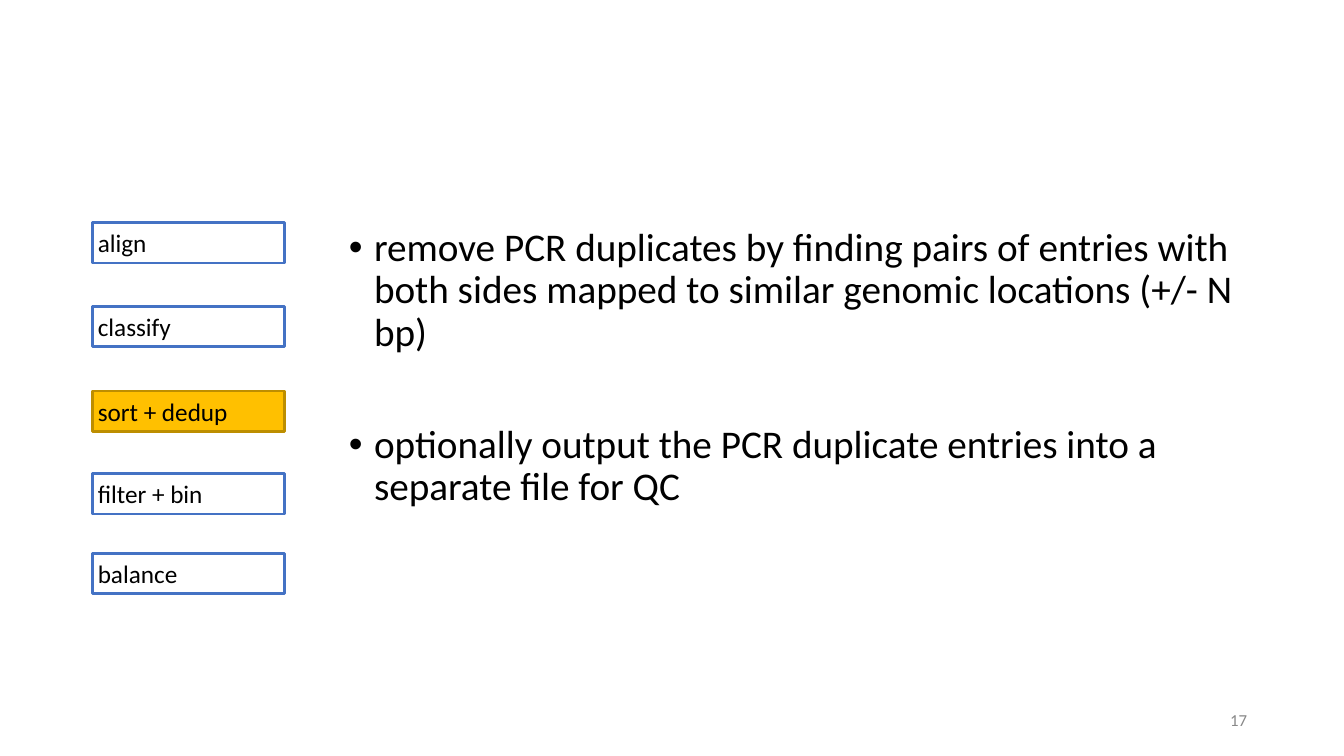
from lxml.etree import SubElement
from pptx import Presentation
from pptx.dml.color import RGBColor
from pptx.enum.shapes import MSO_SHAPE
from pptx.enum.text import MSO_ANCHOR, PP_ALIGN
from pptx.oxml.ns import qn
from pptx.util import Inches, Pt

COLORS = {
    "text": "000000",
    "muted": "888888",
    "step": "FFFFFF",
    "step_line": "4472C4",
    "current": "FFC000",
    "current_line": "BD8E00",
}
STEPS = [
    ("align", 2.21),
    ("classify", 3.04),
    ("sort + dedup", 3.88),
    ("filter + bin", 4.7),
    ("balance", 5.49),
]
CURRENT_STEP = "sort + dedup"
POINTS = [
    "remove PCR duplicates by finding pairs of entries with both sides "
    "mapped to similar genomic locations (+/- N bp)",
    "optionally output the PCR duplicate entries into a separate file for QC",
]


class PipelineSlide:
    font = "Calibri"
    inset = Inches(0.05)

    def __init__(self, prs):
        self.slide = prs.slides.add_slide(prs.slide_layouts[6])

    def color(self, name):
        return RGBColor.from_string(COLORS[name])

    def frame(self, sp, anchor, wrap=True):
        tf = sp.text_frame
        tf.margin_left = tf.margin_right = self.inset
        tf.margin_top = tf.margin_bottom = self.inset
        tf.vertical_anchor = anchor
        tf.word_wrap = wrap
        return tf

    def set_text(self, p, text, size, color="text", align=PP_ALIGN.LEFT):
        p.text = text
        p.alignment = align
        for r in p.runs:
            r.font.name = self.font
            r.font.size = Pt(size)
            r.font.color.rgb = self.color(color)

    def step(self, label, top, style):
        sp = self.slide.shapes.add_shape(
            MSO_SHAPE.RECTANGLE, Inches(0.92), Inches(top), Inches(1.9), Inches(0.4))
        sp.shadow.inherit = False
        sp.fill.solid()
        sp.fill.fore_color.rgb = self.color(style)
        sp.line.color.rgb = self.color(style + "_line")
        sp.line.width = Pt(2)
        tf = self.frame(sp, MSO_ANCHOR.MIDDLE)
        self.set_text(tf.paragraphs[0], label, 18)

    def bullets(self, points, left, top, width, height, gap):
        sp = self.slide.shapes.add_textbox(
            Inches(left), Inches(top), Inches(width), Inches(height))
        tf = self.frame(sp, MSO_ANCHOR.TOP)
        for i, point in enumerate(points):
            p = tf.add_paragraph() if i else tf.paragraphs[0]
            p.line_spacing = 0.9
            p.space_before = Pt(gap if i else 0)
            pPr = p._p.get_or_add_pPr()
            pPr.set("marL", str(Inches(0.25)))
            pPr.set("indent", str(Inches(-0.25)))
            SubElement(pPr, qn("a:buFont"), typeface="Arial")
            SubElement(pPr, qn("a:buChar"), char="•")
            self.set_text(p, point, 28)

    def page_number(self, number):
        sp = self.slide.shapes.add_textbox(
            Inches(12.13), Inches(7), Inches(0.29), Inches(0.29))
        tf = self.frame(sp, MSO_ANCHOR.MIDDLE, wrap=False)
        self.set_text(tf.paragraphs[0], number, 12, "muted", PP_ALIGN.RIGHT)


def main():
    prs = Presentation()
    prs.slide_width = Inches(13.33)
    prs.slide_height = Inches(7.5)
    s = PipelineSlide(prs)
    s.page_number("17")
    for label, top in STEPS:
        s.step(label, top, "current" if label == CURRENT_STEP else "step")
    s.bullets(POINTS, 3.41, 2.21, 9.01, 4.55, gap=50)
    prs.save("out.pptx")


if __name__ == "__main__":
    main()
